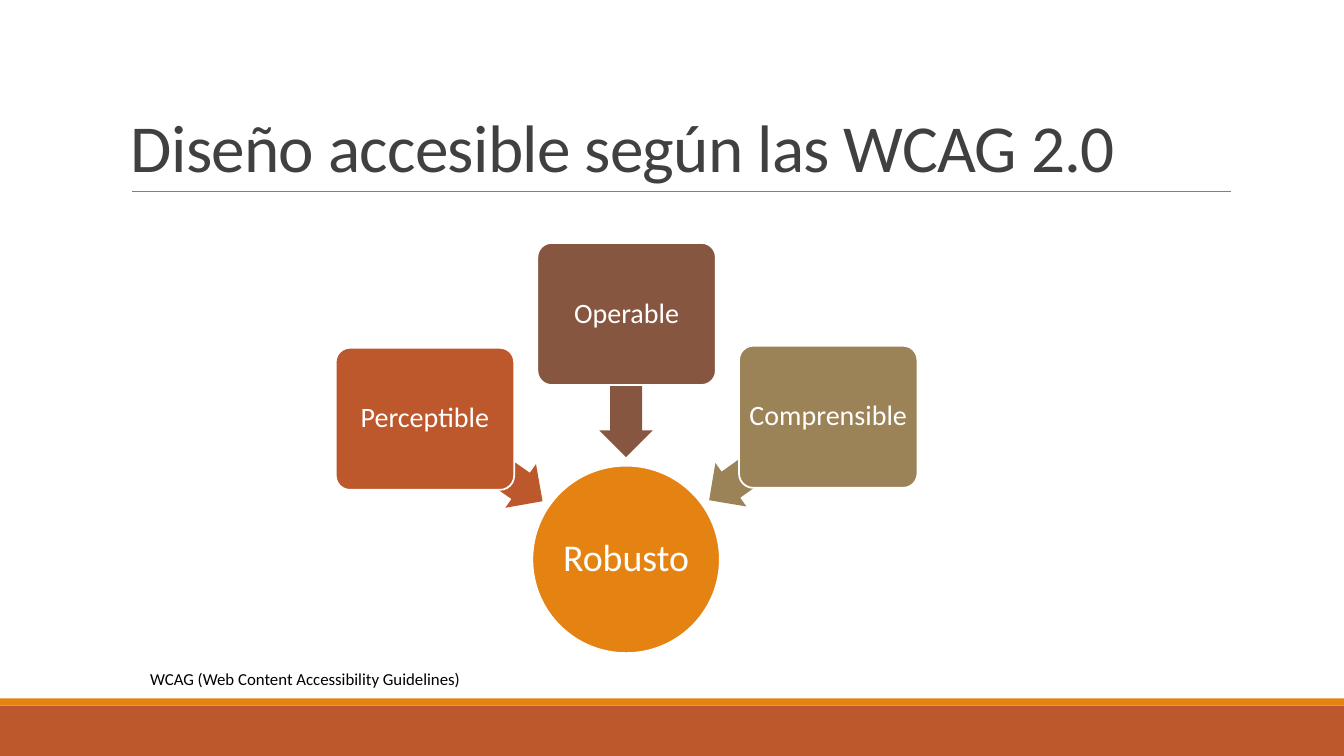
from dataclasses import dataclass

from lxml.etree import SubElement
from pptx import Presentation
from pptx.dml.color import RGBColor
from pptx.enum.shapes import MSO_CONNECTOR as Connector, MSO_SHAPE as Preset
from pptx.enum.text import MSO_ANCHOR as Anchor, PP_ALIGN as Align
from pptx.oxml.ns import qn
from pptx.shapes.autoshape import Shape
from pptx.slide import Slide
from pptx.util import Emu, Pt

PX = 9144
FONT = "Calibri"
WHITE = RGBColor(0xFF, 0xFF, 0xFF)
BLACK = RGBColor(0x00, 0x00, 0x00)
CHARCOAL = RGBColor(0x40, 0x40, 0x40)
GRAY = RGBColor(0x80, 0x80, 0x80)
ORANGE = RGBColor(0xE4, 0x83, 0x12)
RUST = RGBColor(0xBD, 0x58, 0x2C)
BROWN = RGBColor(0x86, 0x56, 0x40)
OLIVE = RGBColor(0x9B, 0x83, 0x57)

PAGE_WIDTH, PAGE_HEIGHT = 1333, 750
CARD_WIDTH, CARD_HEIGHT = 177, 141
ARROW_HEIGHT = 53


@dataclass(frozen=True)
class Area:
    left: int
    top: int
    width: int
    height: int

    def emu(self) -> tuple[Emu, Emu, Emu, Emu]:
        return px(self.left), px(self.top), px(self.width), px(self.height)


@dataclass(frozen=True)
class Principle:
    name: str
    color: RGBColor
    left: int
    top: int
    arrow: Area
    angle: float


PRINCIPLES = [
    Principle("Perceptible", RUST, 333, 345, Area(409, 430, 142, ARROW_HEIGHT), 215),
    Principle("Operable", BROWN, 533, 241, Area(550, 356, 142, ARROW_HEIGHT), 270),
    Principle("Comprensible", OLIVE, 733, 343, Area(690, 428, 144, ARROW_HEIGHT), 324.5),
]


def px(length: int) -> Emu:
    return Emu(length * PX)


def add_filled(page: Slide, preset: Preset, area: Area, color: RGBColor) -> Shape:
    shape = page.shapes.add_shape(preset, *area.emu())
    shape.shadow.inherit = False
    shape.fill.solid()
    shape.fill.fore_color.rgb = color
    shape.line.fill.background()
    return shape


def write_text(shape: Shape, text: str, size: int, color: RGBColor) -> None:
    frame = shape.text_frame
    frame.text = text
    frame.word_wrap = True
    font = frame.paragraphs[0].runs[0].font
    font.name = FONT
    font.size = Pt(size)
    font.color.rgb = color


def add_label(shape: Shape, text: str, size: int, inset: int) -> None:
    shape.line.color.rgb = WHITE
    shape.line.width = Pt(1.25)
    write_text(shape, text, size, WHITE)
    frame = shape.text_frame
    frame.vertical_anchor = Anchor.MIDDLE
    frame.margin_left = frame.margin_right = px(inset)
    frame.margin_top = frame.margin_bottom = px(inset)
    para = frame.paragraphs[0]
    para.alignment = Align.CENTER
    para.line_spacing = 0.9


def add_principle(page: Slide, principle: Principle) -> None:
    arrow = add_filled(page, Preset.LEFT_ARROW, principle.arrow, principle.color)
    arrow.adjustments[0] = 0.6
    arrow.adjustments[1] = 0.5
    arrow.rotation = principle.angle
    card_area = Area(principle.left, principle.top, CARD_WIDTH, CARD_HEIGHT)
    card = add_filled(page, Preset.ROUNDED_RECTANGLE, card_area, principle.color)
    card.adjustments[0] = 0.1
    add_label(card, principle.name, 20, 4)


def add_title(page: Slide) -> None:
    rule = page.shapes.add_connector(
        Connector.STRAIGHT, px(131), px(190), px(1221), px(190)
    )
    rule.line.color.rgb = GRAY
    rule.line.width = Pt(0.5)
    SubElement(rule.line._get_or_add_ln().getparent(), qn("a:effectLst"))
    title = page.shapes.add_textbox(*Area(120, 31, 1100, 159).emu())
    write_text(title, "Diseño accesible según las WCAG 2.0", 48, CHARCOAL)
    title.text_frame.vertical_anchor = Anchor.BOTTOM
    para = title.text_frame.paragraphs[0]
    para.line_spacing = 0.85
    para.runs[0].font._element.set("spc", "-50")


def main() -> None:
    deck = Presentation()
    deck.slide_width, deck.slide_height = px(PAGE_WIDTH), px(PAGE_HEIGHT)
    page = deck.slides.add_slide(deck.slide_layouts[6])
    add_filled(page, Preset.RECTANGLE, Area(0, 700, PAGE_WIDTH, 50), RUST)
    add_filled(page, Preset.RECTANGLE, Area(0, 693, PAGE_WIDTH, 7), ORANGE)
    add_title(page)
    hub = add_filled(page, Preset.OVAL, Area(528, 462, 186, 186), ORANGE)
    add_label(hub, "Robusto", 27, 2)
    for principle in PRINCIPLES:
        add_principle(page, principle)
    footnote = page.shapes.add_textbox(*Area(139, 659, 625, 30).emu())
    write_text(footnote, "WCAG (Web Content Accessibility Guidelines)", 12, BLACK)
    deck.save("out.pptx")


if __name__ == "__main__":
    main()
